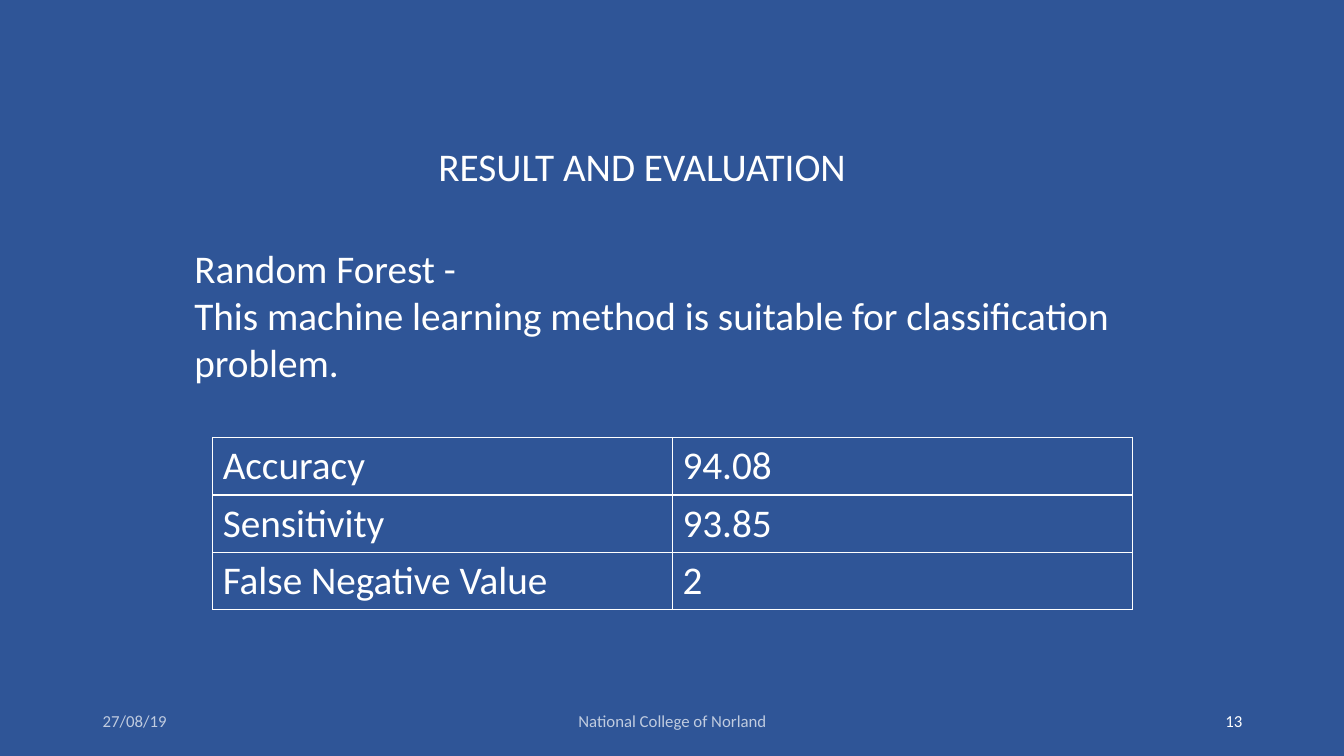
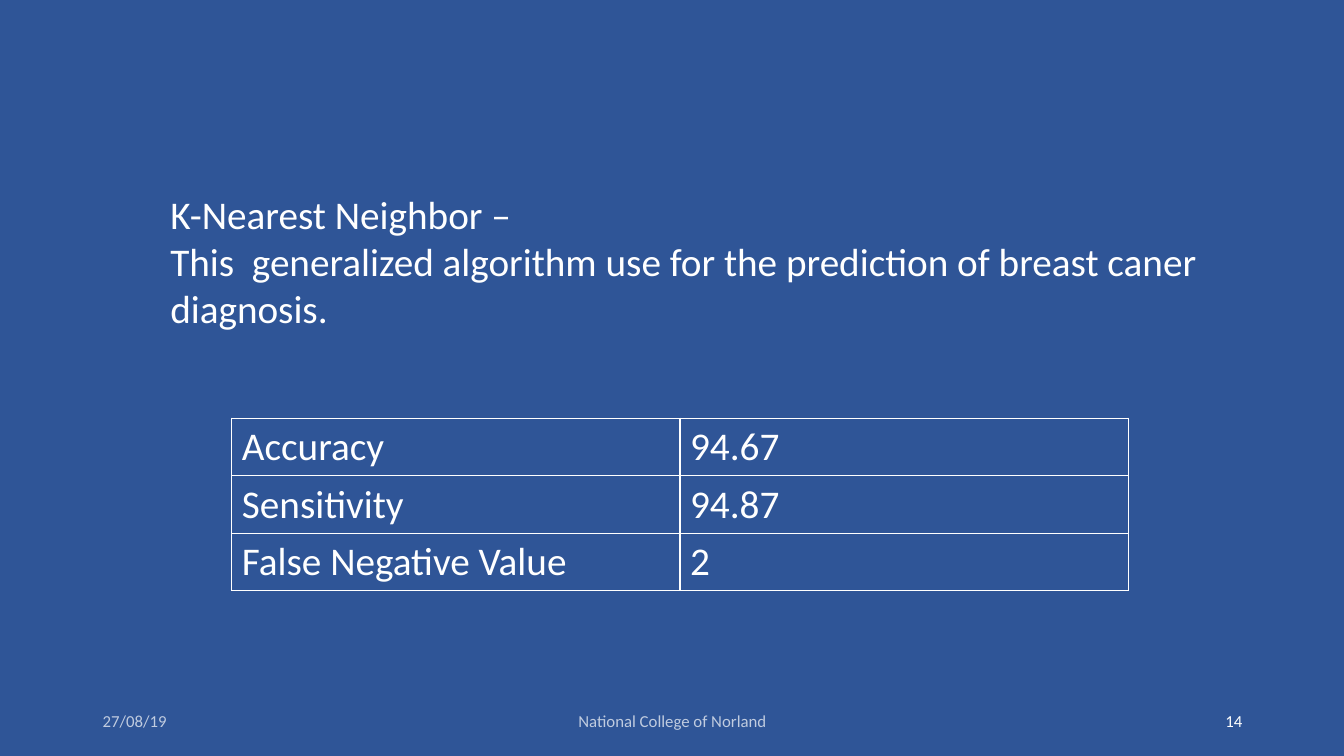
from lxml.etree import SubElement
from pptx import Presentation
from pptx.dml.color import RGBColor
from pptx.enum.text import MSO_ANCHOR, PP_ALIGN
from pptx.oxml.ns import qn
from pptx.util import Inches, Pt

# Shared look
WIDTH, HEIGHT = 13.33, 7.5
BLUE, WHITE = "2F5597", "FFFFFF"
FONT, BODY_SIZE, FOOTER_SIZE = "Calibri", 28, 12
ROW_HEIGHT = 0.57
FOOTER_TOP, FOOTER_HEIGHT = 6.95, 0.4
FIRST_NUMBER = 13

# Footer parts: text (None for the page number), left, width, alignment, opacity
FOOTERS = [
    ("27/08/19", 0.92, 3, PP_ALIGN.LEFT, 70),
    ("National College of Norland", 4.42, 4.5, PP_ALIGN.CENTER, 70),
    (None, 9.42, 3, PP_ALIGN.RIGHT, 100),
]

# Content: text blocks as (area, lines); tables as (left, top, width) and rows
METRICS = ["Accuracy", "Sensitivity", "False Negative Value"]
SLIDES = [
    {
        "texts": [
            ((4.25, 1.36, 4.84, 0.57), ["RESULT AND EVALUATION"]),
            ((1.83, 2.37, 10.16, 1.51), [
                "Random Forest -",
                "This machine learning method is suitable for classification problem.",
            ]),
        ],
        "table": (2.11, 4.34, 9.12),
        "values": ["94.08", "93.85", "2"],
    },
    {
        "texts": [
            ((1.59, 1.84, 10.58, 1.51), [
                "K-Nearest Neighbor –",
                "This  generalized algorithm use for the prediction of breast caner",
                "diagnosis.",
            ]),
        ],
        "table": (2.3, 4.15, 8.89),
        "values": ["94.67", "94.87", "2"],
    },
]


def color(value):
    return RGBColor.from_string(value)


def write(para, text, size=BODY_SIZE, opacity=100):
    span = para.add_run()
    span.text = text
    span.font.name, span.font.size = FONT, Pt(size)
    span.font.color.rgb = color(WHITE)
    if opacity < 100:
        tint = span.font._element.find(".//" + qn("a:srgbClr"))
        SubElement(tint, qn("a:alpha"), val=str(opacity * 1000))


def add_text(page, area, lines, align=PP_ALIGN.LEFT, anchor=MSO_ANCHOR.TOP, **style):
    frame = page.shapes.add_textbox(*map(Inches, area)).text_frame
    frame.word_wrap = True
    frame.vertical_anchor = anchor
    for index, line in enumerate(lines):
        para = frame.add_paragraph() if index else frame.paragraphs[0]
        para.alignment = align
        write(para, line, **style)


def outline(cell):
    properties = cell._tc.get_or_add_tcPr()
    for side in ("lnL", "lnR", "lnT", "lnB"):
        line = SubElement(properties, qn("a:" + side), w=str(Pt(1)))
        fill = SubElement(line, qn("a:solidFill"))
        SubElement(fill, qn("a:srgbClr"), val=WHITE)


def add_metrics(page, left, top, width, values):
    rows = list(zip(METRICS, values))
    area = (left, top, width, ROW_HEIGHT * len(rows))
    table = page.shapes.add_table(len(rows), 2, *map(Inches, area)).table
    table.first_row = table.horz_banding = False
    for row, texts in enumerate(rows):
        for column, text in enumerate(texts):
            cell = table.cell(row, column)
            outline(cell)
            cell.fill.background()
            write(cell.text_frame.paragraphs[0], text)


def add_footers(page, number):
    for text, left, width, align, opacity in FOOTERS:
        add_text(page, (left, FOOTER_TOP, width, FOOTER_HEIGHT), [text or str(number)],
                 align, MSO_ANCHOR.MIDDLE, size=FOOTER_SIZE, opacity=opacity)


def main():
    deck = Presentation()
    deck.slide_width, deck.slide_height = Inches(WIDTH), Inches(HEIGHT)
    for number, content in enumerate(SLIDES, FIRST_NUMBER):
        page = deck.slides.add_slide(deck.slide_layouts[6])
        page.background.fill.solid()
        page.background.fill.fore_color.rgb = color(BLUE)
        for area, lines in content["texts"]:
            add_text(page, area, lines)
        add_metrics(page, *content["table"], content["values"])
        add_footers(page, number)
    deck.save("out.pptx")


if __name__ == "__main__":
    main()
